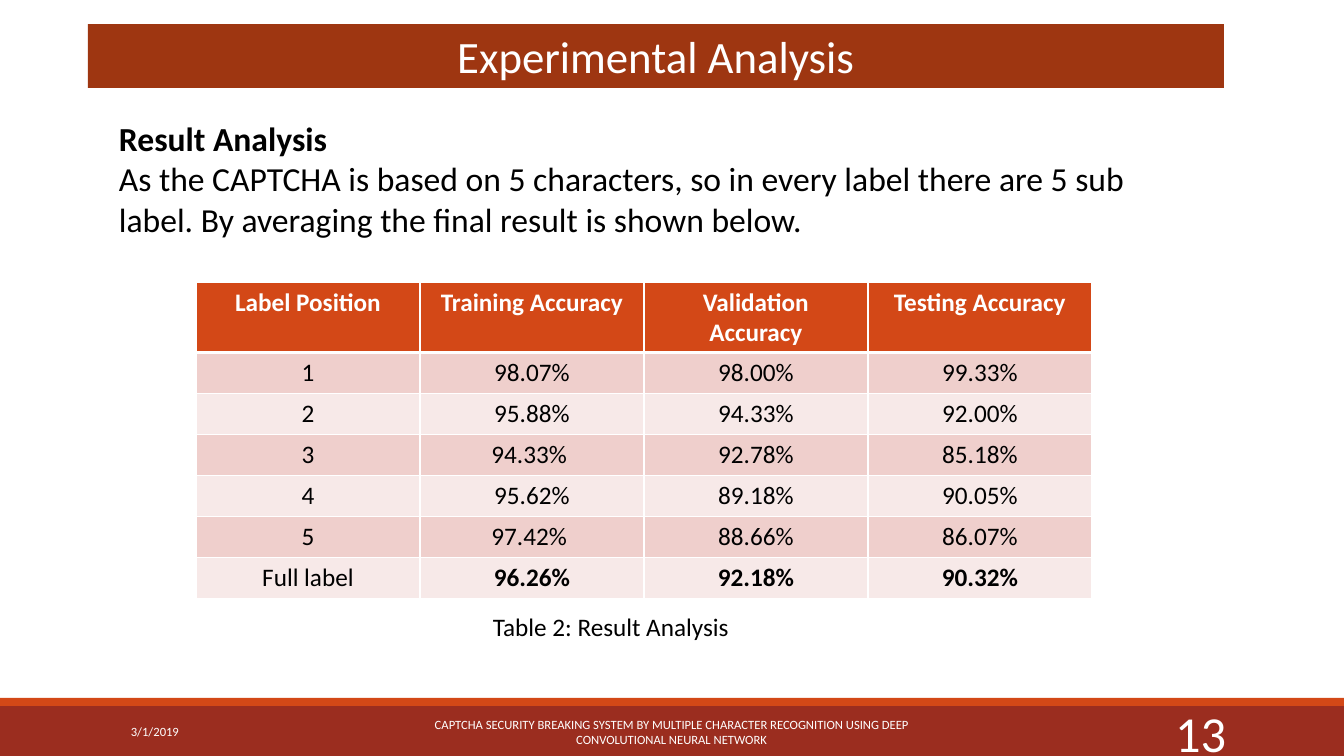
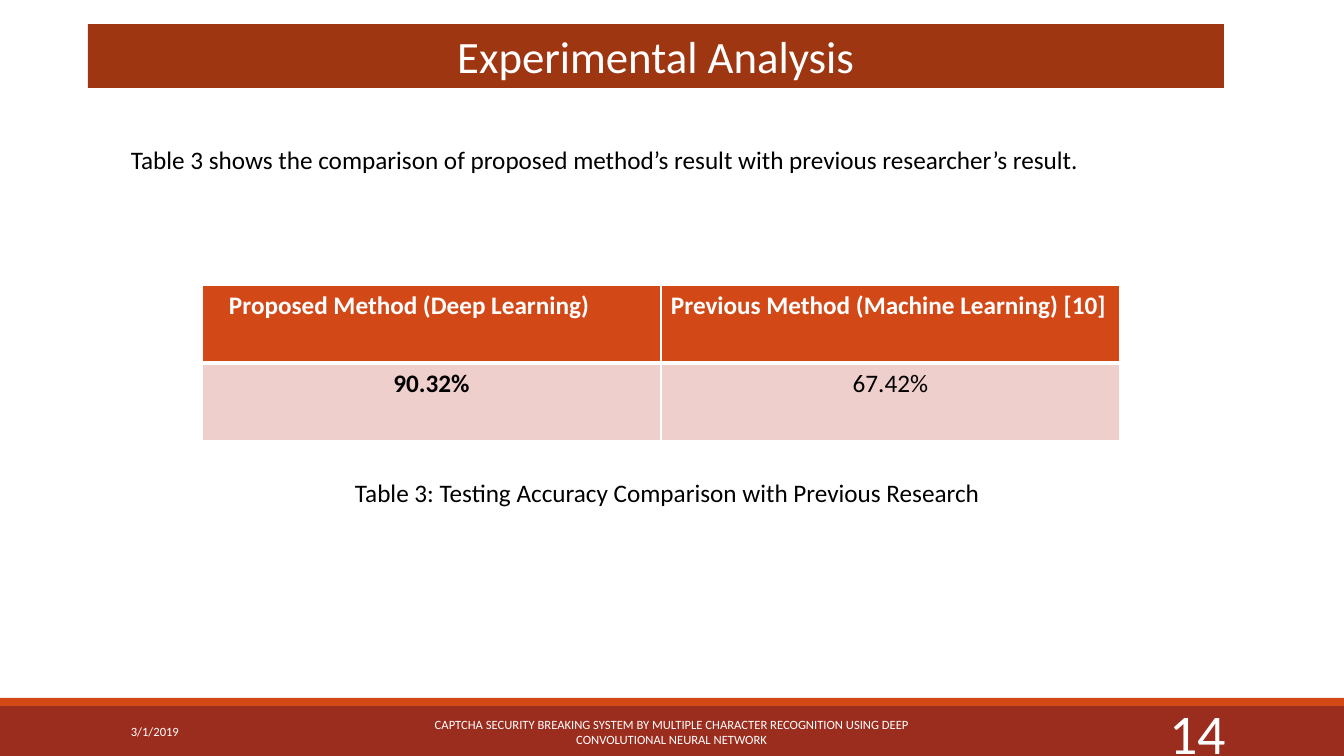
from lxml.etree import SubElement
from pptx import Presentation
from pptx.dml.color import RGBColor
from pptx.enum.shapes import MSO_SHAPE
from pptx.enum.text import MSO_ANCHOR, MSO_AUTO_SIZE, PP_ALIGN
from pptx.oxml.ns import qn
from pptx.util import Emu, Pt

# Shared style
PX_PER_INCH = 100.8
SLIDE_WIDTH, SLIDE_HEIGHT = 1344, 756
FONT = "Calibri"
WHITE, BLACK = "FFFFFF", "000000"
ORANGE, TITLE_RED, FOOTER_RED = "D34817", "9E3611", "9B2D1F"
ROW_FILLS = ["EFCFCC", "F7E9E8"]
LEFT, CENTER, RIGHT = PP_ALIGN.LEFT, PP_ALIGN.CENTER, PP_ALIGN.RIGHT
TOP, MIDDLE = MSO_ANCHOR.TOP, MSO_ANCHOR.MIDDLE
rgb = RGBColor.from_string

BANDS = [((0, 706, SLIDE_WIDTH, 50), FOOTER_RED), ((0, 698, SLIDE_WIDTH, 8), ORANGE)]
TITLE = "Experimental Analysis"
DATE = "3/1/2019"
FOOTER = ("CAPTCHA SECURITY BREAKING SYSTEM BY MULTIPLE CHARACTER RECOGNITION "
          "USING DEEP CONVOLUTIONAL NEURAL NETWORK")

# Slide content: texts are (place, size, [(line, bold), ...])
PAGES = [
    {
        "number": "13",
        "number_size": 36,
        "texts": [
            ((109, 113, 1054, 132), 24, [
                ("Result Analysis", True),
                ("As the CAPTCHA is based on 5 characters, so in every label there are "
                 "5 sub label. By averaging the final result is shown below.", False),
            ]),
            ((483, 606, 295, 40), 18, [("Table 2: Result Analysis", False)]),
        ],
        "table_at": (196, 282),
        "column_width": 224,
        "row_heights": [69] + [41] * 6,
        "header_align": CENTER,
        "header_margins": [10, 10, 10, 10],
        "bold_cells": {(6, 1), (6, 2), (6, 3)},
        "rows": [
            ["Label Position", "Training Accuracy", "Validation Accuracy", "Testing Accuracy"],
            ["1", "98.07%", "98.00%", "99.33%"],
            ["2", "95.88%", "94.33%", "92.00%"],
            ["3", "94.33% ", "92.78%", "85.18%"],
            ["4", "95.62%", "89.18%", "90.05%"],
            ["5", "97.42% ", "88.66%", "86.07%"],
            ["Full label", "96.26%", "92.18%", "90.32%"],
        ],
    },
    {
        "number": "14",
        "number_size": 40,
        "texts": [
            ((121, 139, 1000, 40), 18, [
                ("Table 3 shows the comparison of proposed method’s result with "
                 "previous researcher’s result.", False),
            ]),
            ((345, 472, 685, 40), 18, [
                ("Table 3: Testing Accuracy Comparison with Previous Research", False),
            ]),
        ],
        "table_at": (202, 285),
        "column_width": 459,
        "row_heights": [78, 78],
        "header_align": LEFT,
        "header_margins": [27, 10],
        "bold_cells": {(1, 0)},
        "rows": [
            ["Proposed Method (Deep Learning)", "Previous Method (Machine Learning) [10]"],
            ["90.32%", "67.42%"],
        ],
    },
]


def px(*lengths):
    return [Emu(round(length * 914400 / PX_PER_INCH)) for length in lengths]


def write(frame, lines, size, color, align=LEFT, anchor=TOP):
    frame.word_wrap = True
    frame.vertical_anchor = anchor
    for index, (line, bold) in enumerate(lines):
        para = frame.paragraphs[0] if index == 0 else frame.add_paragraph()
        para.alignment = align
        span = para.add_run()
        span.text = line
        for name, value in {"name": FONT, "size": Pt(size), "bold": bold}.items():
            setattr(span.font, name, value)
        span.font.color.rgb = rgb(color)


deck = Presentation()
deck.slide_width, deck.slide_height = px(SLIDE_WIDTH, SLIDE_HEIGHT)

for content in PAGES:
    page = deck.slides.add_slide(deck.slide_layouts[5])

    # Title bar
    title = page.shapes.title
    title.left, title.top, title.width, title.height = px(88, 24, 1136, 64)
    title.fill.solid()
    title.fill.fore_color.rgb = rgb(TITLE_RED)
    write(title.text_frame, [(TITLE, False)], 32, WHITE, CENTER)
    title.text_frame.auto_size = MSO_AUTO_SIZE.NONE

    # Footer bands
    for place, color in BANDS:
        band = page.shapes.add_shape(MSO_SHAPE.RECTANGLE, *px(*place))
        band.shadow.inherit = False
        band.fill.solid()
        band.fill.fore_color.rgb = rgb(color)
        band.line.fill.background()

    # Footer texts
    for left, width, text, size, align in [
        (121, 272, DATE, 9, LEFT),
        (406, 531, FOOTER, 9, CENTER),
        (1092, 144, content["number"], content["number_size"], RIGHT),
    ]:
        box = page.shapes.add_textbox(*px(left, 712, width, 40))
        write(box.text_frame, [(text, False)], size, WHITE, align, MIDDLE)

    # Body text and caption
    for place, size, lines in content["texts"]:
        box = page.shapes.add_textbox(*px(*place))
        write(box.text_frame, lines, size, BLACK)

    # Result table
    rows, heights = content["rows"], content["row_heights"]
    width = content["column_width"]
    frame = page.shapes.add_table(
        len(rows), len(rows[0]),
        *px(*content["table_at"], width * len(rows[0]), sum(heights)))
    table = frame.table
    table.horz_banding = False
    for column in table.columns:
        column.width = px(width)[0]
    for row_index, row in enumerate(rows):
        table.rows[row_index].height = px(heights[row_index])[0]
        header = row_index == 0
        fill = ORANGE if header else ROW_FILLS[(row_index - 1) % 2]
        for column_index, text in enumerate(row):
            cell = table.cell(row_index, column_index)

            # White borders, heavier around the header's lower edge
            properties = cell._tc.get_or_add_tcPr()
            top_width = 3 if row_index == 1 else 1
            bottom_width = 3 if header else 1
            for side, points in [("L", 1), ("R", 1), ("T", top_width), ("B", bottom_width)]:
                border = SubElement(properties, qn(f"a:ln{side}"), w=str(Pt(points)))
                paint = SubElement(border, qn("a:solidFill"))
                SubElement(paint, qn("a:srgbClr"), val=WHITE)

            cell.fill.solid()
            cell.fill.fore_color.rgb = rgb(fill)
            if header:
                cell.margin_left = px(content["header_margins"][column_index])[0]
            bold = header or (row_index, column_index) in content["bold_cells"]
            write(cell.text_frame, [(text, bold)], 18, WHITE if header else BLACK,
                  content["header_align"] if header else CENTER)

deck.save("out.pptx")
